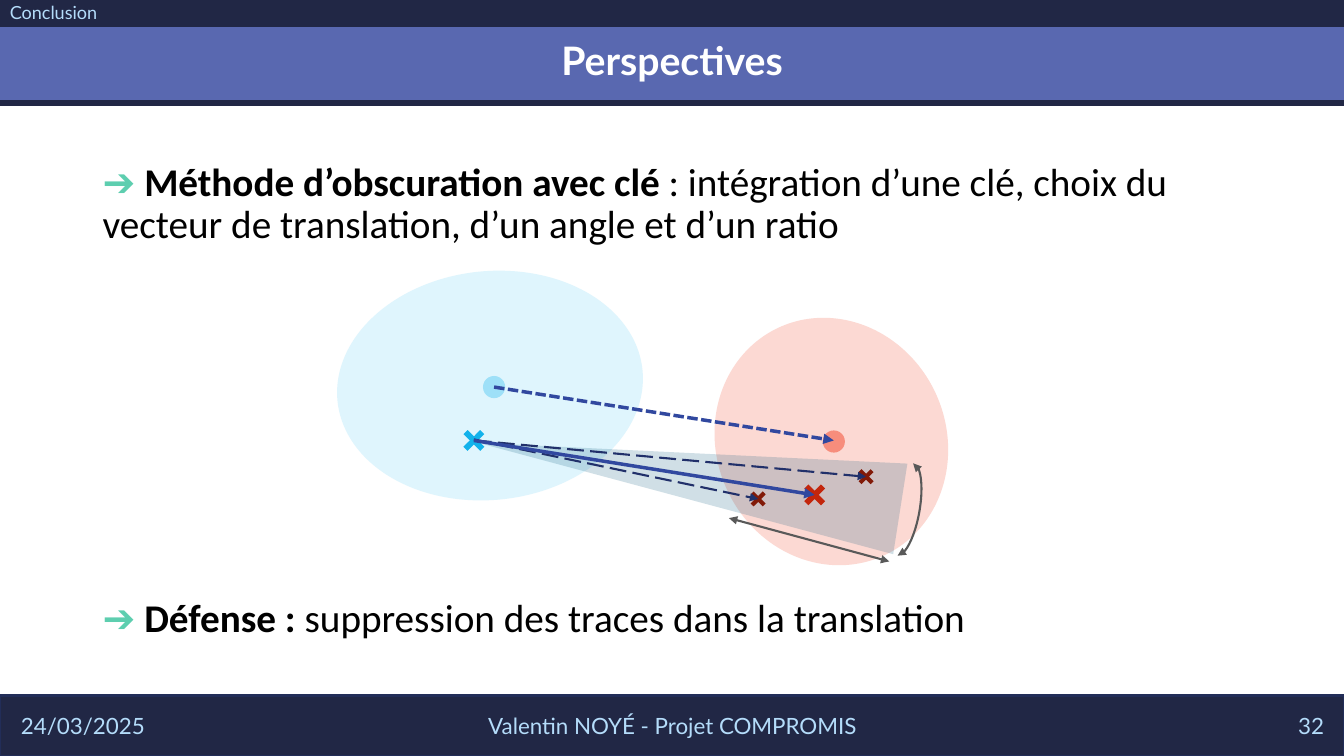
from lxml import etree
from pptx import Presentation
from pptx.dml.color import RGBColor
from pptx.enum.dml import MSO_LINE
from pptx.enum.shapes import MSO_CONNECTOR, MSO_SHAPE
from pptx.enum.text import MSO_ANCHOR, PP_ALIGN
from pptx.oxml.ns import qn
from pptx.util import Inches, Pt

NAVY = RGBColor(0x21, 0x27, 0x45)
NAVY_EDGE = RGBColor(0x22, 0x2D, 0x58)
VIOLET = RGBColor(0x59, 0x68, 0xB0)
WHITE = RGBColor(0xFF, 0xFF, 0xFF)
BLACK = RGBColor(0, 0, 0)
PALE_BLUE = RGBColor(0xB4, 0xDC, 0xFA)
MINT = RGBColor(0x5D, 0xCE, 0xAF)
BLUE_CLOUD = RGBColor(0xDF, 0xF5, 0xFD)
RED_CLOUD = RGBColor(0xFC, 0xD9, 0xD3)
BLUE_DOT = RGBColor(0x9E, 0xE0, 0xF8)
RED_DOT = RGBColor(0xF7, 0x8D, 0x7C)
BLUE_CROSS = RGBColor(0x12, 0xB2, 0xEB)
RED_CROSS = RGBColor(0xC3, 0x26, 0x0C)
DARK_CROSS = RGBColor(0x82, 0x1A, 0x08)
CONE = RGBColor(0x15, 0x60, 0x82)
BLUE = RGBColor(0x31, 0x48, 0x9F)
DARK_BLUE = RGBColor(0x21, 0x30, 0x6A)
GREY = RGBColor(0x59, 0x59, 0x59)

# Content
SECTION = "Conclusion"
TITLE = "Perspectives"
POINTS = [  # top, height, bold lead, rest
    (1.56, 1.0, "Méthode d’obscuration avec clé ",
     ": intégration d’une clé, choix du vecteur de translation, d’un angle et d’un ratio"),
    (5.89, 0.6, "Défense : ", "suppression des traces dans la translation"),
]
FOOTER = [  # left, width, text, alignment
    (0.11, 3, "24/03/2025", PP_ALIGN.LEFT),
    (4.42, 4.5, "Valentin NOYÉ - Projet COMPROMIS", PP_ALIGN.CENTER),
    (10.23, 3, "32", PP_ALIGN.RIGHT),
]
BARS = [  # left, top, width, height, fill, line colour, line width
    (0, 6.9, 13.33, 0.6, NAVY, NAVY_EDGE, 1.5),
    (-0.09, 0.24, 13.54, 0.78, VIOLET, NAVY, 4.5),
    (0, 0, 13.33, 0.25, NAVY, None, 0),
]
CLOUDS = [  # box, rotation, fill
    ((3.34, 2.69, 3.04, 2.27), 354.1, BLUE_CLOUD),
    ((7, 3.24, 2.49, 2.28), 65.4, RED_CLOUD),
]
CENTROIDS = [((4.9, 3.84), BLUE_DOT), ((8.27, 4.38), RED_DOT)]
CROSSES = [  # centre, size, fill
    ((8.08, 4.91), 0.32, RED_CROSS),
    ((4.7, 4.37), 0.32, BLUE_CROSS),
    ((7.52, 4.95), 0.23, DARK_CROSS),
    ((8.59, 4.73), 0.23, DARK_CROSS),
]
CENTROID_ARROW = ((4.9, 3.84), (8.27, 4.37), BLUE, 2.5, MSO_LINE.SQUARE_DOT)
ARROWS = [  # start, tip, colour, width, dash
    ((4.71, 4.37), (8.59, 4.73), DARK_BLUE, 1.5, MSO_LINE.LONG_DASH),
    ((4.7, 4.36), (7.52, 4.95), DARK_BLUE, 1.5, MSO_LINE.LONG_DASH),
    ((4.7, 4.37), (8.08, 4.91), BLUE, 2.5, None),
]
RATIO_ARROW = ((7.23, 5.14), (8.82, 5.57), GREY, 1.5, None)

prs = Presentation()
prs.slide_width, prs.slide_height = Inches(13.33), Inches(7.5)
s = prs.slides.add_slide(prs.slide_layouts[6])


def add_text(box, runs, size=28, font="Calibri", align=PP_ALIGN.LEFT,
             anchor=MSO_ANCHOR.MIDDLE, spacing=None):
    """Add a one-paragraph text box; runs are (text, colour, bold)."""
    tf = s.shapes.add_textbox(*map(Inches, box)).text_frame
    tf.word_wrap = True
    tf.vertical_anchor = anchor
    p = tf.paragraphs[0]
    p.alignment = align
    p.line_spacing = spacing
    for text, color, bold in runs:
        r = p.add_run()
        r.text = text
        r.font.size, r.font.name, r.font.bold = Pt(size), font, bold
        r.font.color.rgb = color


def add_shape(kind, box, fill=None, line=None, width=0, rotation=0):
    sp = s.shapes.add_shape(kind, *map(Inches, box))
    sp.shadow.inherit = False
    sp.rotation = rotation
    if fill is None:
        sp.fill.background()
    else:
        sp.fill.solid()
        sp.fill.fore_color.rgb = fill
    if line is None:
        sp.line.fill.background()
    else:
        sp.line.color.rgb, sp.line.width = line, Pt(width)
    return sp


def add_centred(kind, centre, size, fill):
    x, y = centre
    return add_shape(kind, (x - size / 2, y - size / 2, size, size), fill)


def add_heads(sp, *ends):
    ln = sp._element.spPr.find(qn("a:ln"))
    for end in ends:
        etree.SubElement(ln, qn(f"a:{end}"), type="triangle")


def add_arrow(start, tip, color, width, dash, ends=("tailEnd",)):
    c = s.shapes.add_connector(MSO_CONNECTOR.STRAIGHT, *map(Inches, start + tip))
    c.line.color.rgb, c.line.width = color, Pt(width)
    if dash is not None:
        c.line.dash_style = dash
    add_heads(c, *ends)
    etree.SubElement(c._element.spPr, qn("a:effectLst"))


# Bars, title and body text
for *box, fill, line, width in BARS:
    add_shape(MSO_SHAPE.RECTANGLE, box, fill, line, width)
add_text((0, -0.1, 13.33, 1.45), [(TITLE, WHITE, True)], font="Lato",
         align=PP_ALIGN.CENTER, spacing=0.9)
for top, height, lead, rest in POINTS:
    add_text((0.92, top, 11.5, height),
             [("➔ ", MINT, True), (lead, BLACK, True), (rest, BLACK, False)],
             anchor=MSO_ANCHOR.TOP, spacing=0.9)
for left, width, text, align in FOOTER:
    add_text((left, 7, width, 0.4), [(text, PALE_BLUE, False)], size=16,
             font="Lato", align=align)
add_text((0, 0, 7.04, 0.29), [(SECTION, PALE_BLUE, False)], size=12.9,
         font="Lato", spacing=0.8)

# Clouds and the translucent cone of possible translations
for box, rotation, fill in CLOUDS:
    add_shape(MSO_SHAPE.OVAL, box, fill, rotation=rotation)
cone = add_shape(MSO_SHAPE.ISOSCELES_TRIANGLE, (6.38, 2.6, 0.91, 4.24), CONE,
                 rotation=278.9)
cone_color = cone._element.spPr.find(qn("a:solidFill"))[0]
etree.SubElement(cone_color, qn("a:alpha"), val="20000")

# Centroids, crosses and translation vectors
for centre, fill in CENTROIDS:
    add_centred(MSO_SHAPE.OVAL, centre, 0.22, fill)
add_arrow(*CENTROID_ARROW)
for centre, size, fill in CROSSES:
    add_centred(MSO_SHAPE.MATH_MULTIPLY, centre, size, fill).adjustments[0] = 0.18
for arrow in ARROWS:
    add_arrow(*arrow)

# Double arrows for the ratio and the angle
add_arrow(*RATIO_ARROW, ends=("headEnd", "tailEnd"))
angle = add_shape(MSO_SHAPE.ARC, (8.83, 4.59, 0.29, 0.93), line=GREY, width=1.5,
                  rotation=10.1)
angle.adjustments[0], angle.adjustments[1] = 162, 53.34
add_heads(angle, "headEnd", "tailEnd")

prs.save("out.pptx")
